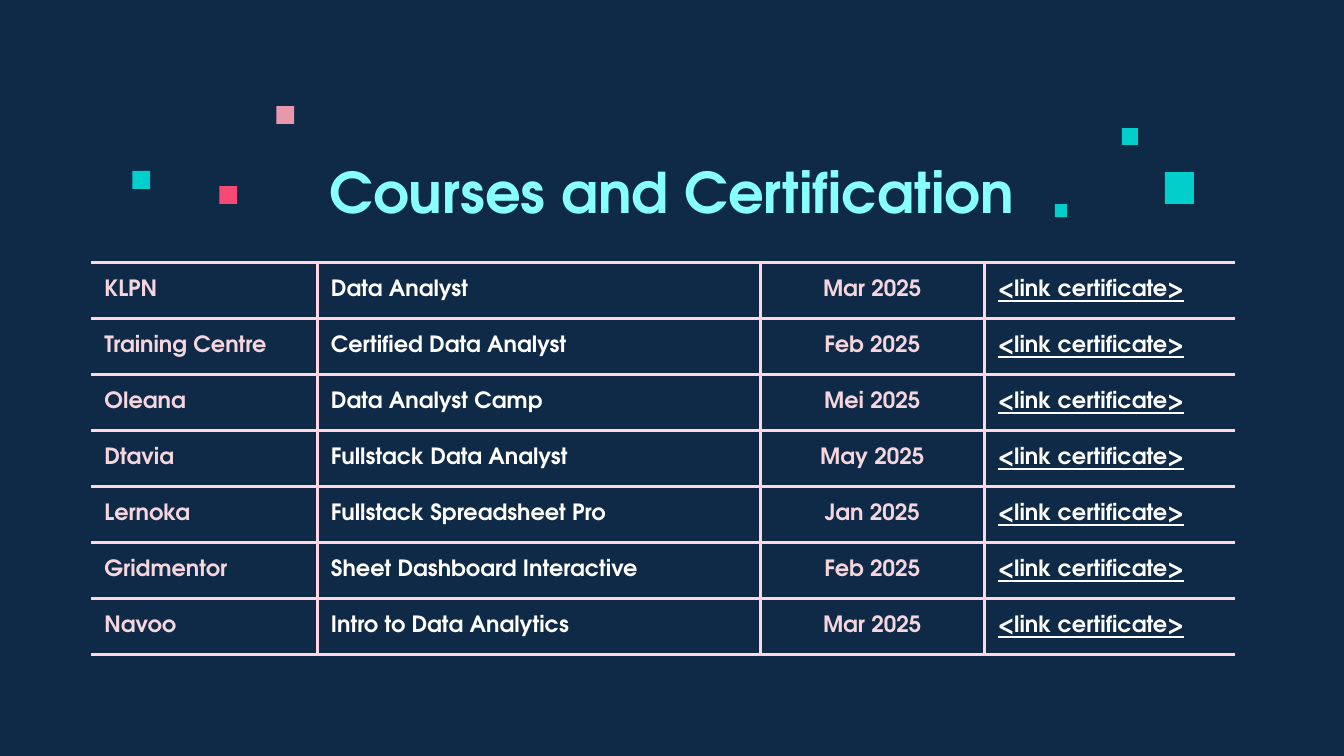
from lxml.etree import SubElement
from pptx import Presentation
from pptx.dml.color import RGBColor
from pptx.enum.shapes import MSO_SHAPE as SHAPE
from pptx.enum.text import MSO_ANCHOR as ANCHOR, MSO_AUTO_SIZE as AUTO, PP_ALIGN as ALIGN
from pptx.oxml.ns import qn
from pptx.util import Pt

FONT = "TeX Gyre Adventor"
INSET = 7.2
COLORS = {
    "background": "0E2A47", "title": "86FFFD", "rule": "FFD6E1",
    "muted": "F6D6DE", "white": "FFFFFF",
    "teal": "00CFCC", "rose": "E898AC", "pink": "F64975",
}

# Provider, course, date
COURSES = [
    ("KLPN", "Data Analyst", "Mar 2025"),
    ("Training Centre", "Certified Data Analyst", "Feb 2025"),
    ("Oleana", "Data Analyst Camp", "Mei 2025"),
    ("Dtavia", "Fullstack Data Analyst", "May 2025"),
    ("Lernoka", "Fullstack Spreadsheet Pro", "Jan 2025"),
    ("Gridmentor", "Sheet Dashboard Interactive", "Feb 2025"),
    ("Navoo", "Intro to Data Analytics", "Mar 2025"),
]
LINK = "<link certificate>"

# Width, text colour, alignment, underline
COLUMNS = [
    (121.3, "muted", ALIGN.LEFT, False),
    (237.3, "white", ALIGN.LEFT, False),
    (120, "muted", ALIGN.CENTER, False),
    (134.2, "white", ALIGN.LEFT, True),
]

# Left, top, width, height, colour, relative to the decoration's box
LEFT_SQUARES = [
    (77.1, 0, 9.6, 9.6, "rose"),
    (0, 34.8, 9.6, 9.6, "teal"),
    (46.6, 42.9, 9.6, 9.6, "pink"),
]
RIGHT_SQUARES = [
    (58.9, 23.6, 15.5, 17.1, "teal"),
    (35.9, 0, 8.5, 9.1, "teal"),
    (0, 40.7, 6.4, 7, "teal"),
]


def rgb(name):
    return RGBColor.from_string(COLORS[name])


def set_font(r, size, color):
    r.font.name, r.font.size, r.font.bold = FONT, Pt(size), True
    r.font.color.rgb = rgb(color)


def set_borders(cell, visible, width=1.5):
    """Draw the visible sides of a cell and hide the others."""
    tc_pr = cell._tc.get_or_add_tcPr()
    for side in "LRTB":
        ln = SubElement(tc_pr, qn(f"a:ln{side}"), w=str(Pt(width)))
        if side in visible:
            fill = SubElement(ln, qn("a:solidFill"))
            SubElement(fill, qn("a:srgbClr"), val=COLORS["rule"])
        else:
            SubElement(ln, qn("a:noFill"))


def add_squares(s, left, top, squares):
    group = s.shapes.add_group_shape()
    for x, y, w, h, color in squares:
        sp = group.shapes.add_shape(SHAPE.RECTANGLE, Pt(left + x), Pt(top + y), Pt(w), Pt(h))
        sp.shadow.inherit = False
        sp.fill.solid()
        sp.fill.fore_color.rgb = rgb(color)
        sp.line.fill.background()


def place_title(s, left, top, width, height):
    sp = s.shapes.title
    sp.left, sp.top, sp.width, sp.height = Pt(left), Pt(top), Pt(width), Pt(height)
    tf = sp.text_frame
    tf.text = "Courses and Certification"
    tf.word_wrap, tf.auto_size = True, AUTO.NONE
    tf.vertical_anchor = ANCHOR.TOP
    tf.margin_left = tf.margin_right = tf.margin_top = tf.margin_bottom = Pt(INSET)
    p = tf.paragraphs[0]
    p.alignment = ALIGN.CENTER
    set_font(p.runs[0], 30, "title")


def add_courses(s, left, top, row_height):
    width = sum(column[0] for column in COLUMNS)
    table = s.shapes.add_table(len(COURSES), len(COLUMNS), Pt(left), Pt(top),
                               Pt(width), Pt(row_height * len(COURSES))).table
    table.first_row = table.horz_banding = False
    for row, course in zip(table.rows, COURSES):
        row.height = Pt(row_height)
        for i, text in enumerate((*course, LINK)):
            column_width, color, align, underline = COLUMNS[i]
            table.columns[i].width = Pt(column_width)
            cell = row.cells[i]
            # Only the outer left and right edges stay open
            set_borders(cell, "TB" + "L" * (i > 0) + "R" * (i < len(COLUMNS) - 1))
            cell.fill.background()
            cell.vertical_anchor = ANCHOR.MIDDLE
            cell.margin_left = cell.margin_right = Pt(INSET)
            cell.margin_top = cell.margin_bottom = Pt(INSET)
            p = cell.text_frame.paragraphs[0]
            p.text = text
            p.alignment = align
            set_font(p.runs[0], 12, color)
            if underline:
                p.runs[0].font.underline = True


def main():
    prs = Presentation()
    prs.slide_width, prs.slide_height = Pt(720), Pt(405)
    s = prs.slides.add_slide(prs.slide_layouts[5])
    s.background.fill.solid()
    s.background.fill.fore_color.rgb = rgb("background")

    # Scattered squares either side of the title
    add_squares(s, 565.2, 68.6, RIGHT_SQUARES)
    add_squares(s, 70.9, 56.8, LEFT_SQUARES)

    place_title(s, 139, 77, 442, 38.2)
    add_courses(s, 48.75, 140.6, 30)
    prs.save("out.pptx")


if __name__ == "__main__":
    main()
